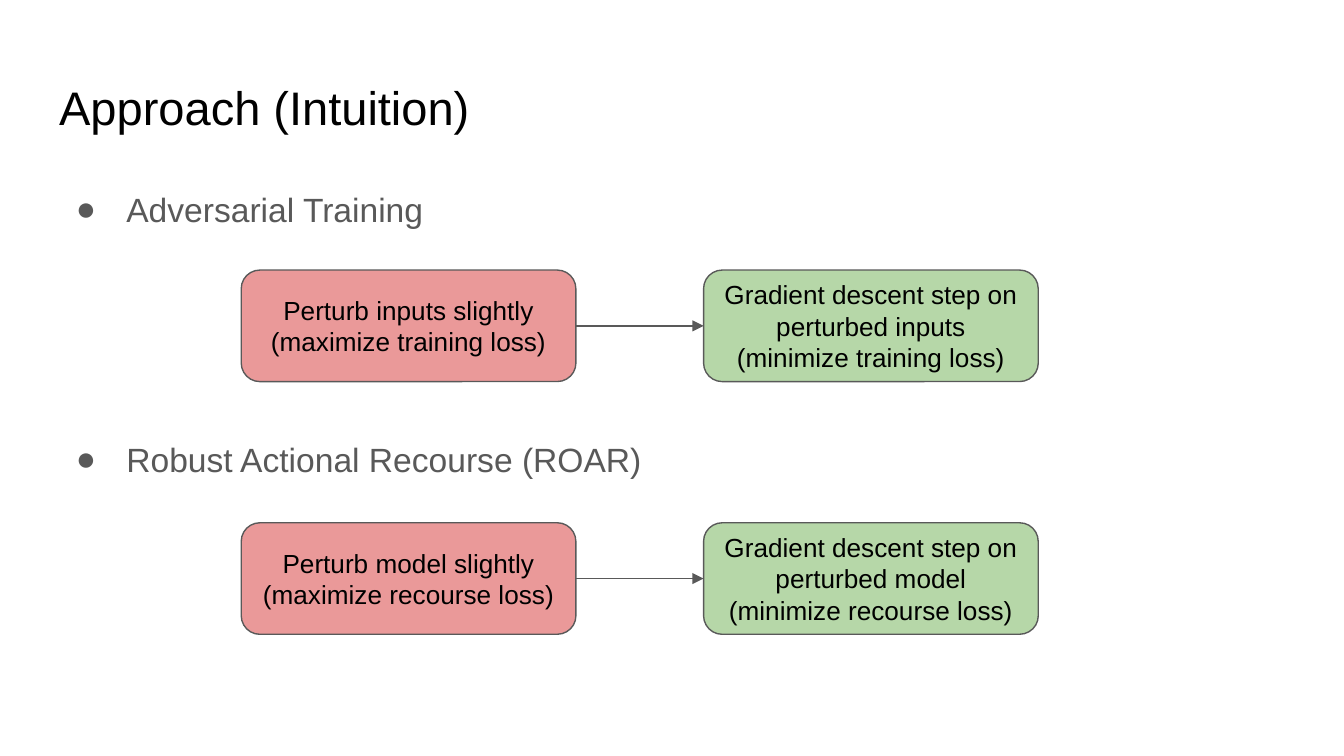
from dataclasses import dataclass

from pptx import Presentation
from pptx.dml.color import RGBColor
from pptx.enum.shapes import MSO_CONNECTOR, MSO_SHAPE
from pptx.enum.text import MSO_ANCHOR, MSO_AUTO_SIZE, PP_ALIGN
from pptx.oxml.ns import qn
from pptx.util import Emu, Pt
from lxml.etree import SubElement

PX = 4572


@dataclass(frozen=True)
class Theme:
    """Colours, font and type sizes of the deck."""
    font: str = "Arial"
    ink: str = "000000"
    grey: str = "595959"
    red: str = "EA9999"
    green: str = "B6D7A8"
    title_size: float = 25.2
    body_size: float = 18
    step_size: float = 14
    line_width: float = 0.75


THEME = Theme()


def px(length):
    """Turn px into EMU."""
    return Emu(length * PX)


def colour(code):
    """Turn a hex code into a colour."""
    return RGBColor.from_string(code)


def place(shape, box):
    """Move a shape to a box of left, top, width, height."""
    shape.left, shape.top, shape.width, shape.height = map(px, box)


def write(shape, text, size, ink, align, anchor):
    """Write one formatted paragraph into a shape and return it."""
    frame = shape.text_frame
    frame.word_wrap = True
    frame.auto_size = MSO_AUTO_SIZE.NONE
    frame.vertical_anchor = anchor
    frame.margin_left = frame.margin_right = px(20)
    frame.margin_top = frame.margin_bottom = px(20)
    para = frame.paragraphs[0]
    para.alignment = align
    para.space_before = Pt(0)
    span = para.add_run()
    span.text = text
    span.font.name = THEME.font
    span.font.size = Pt(size)
    span.font.color.rgb = colour(ink)
    return para


def add_title(page, box, text):
    """Fill the title placeholder."""
    title = page.shapes.title
    place(title, box)
    write(title, text, THEME.title_size, THEME.ink, PP_ALIGN.LEFT, MSO_ANCHOR.TOP)


def add_bullet(body, box, text):
    """Fill a body placeholder with one bulleted line."""
    place(body, box)
    para = write(body, text, THEME.body_size, THEME.grey, PP_ALIGN.LEFT, MSO_ANCHOR.TOP)
    para.line_spacing = 1.15
    properties = para._p.get_or_add_pPr()
    properties.set("marL", str(px(100)))
    properties.set("indent", str(px(-75)))
    bullet_colour = SubElement(properties, qn("a:buClr"))
    SubElement(bullet_colour, qn("a:srgbClr"), val=THEME.grey)
    SubElement(properties, qn("a:buFont"), typeface=THEME.font)
    SubElement(properties, qn("a:buChar"), char="●")


def add_step(page, box, text, fill):
    """Add one rounded step of a flow."""
    step = page.shapes.add_shape(MSO_SHAPE.ROUNDED_RECTANGLE, *map(px, box))
    step.shadow.inherit = False
    step.fill.solid()
    step.fill.fore_color.rgb = colour(fill)
    step.line.color.rgb = colour(THEME.grey)
    step.line.width = Pt(THEME.line_width)
    write(step, text, THEME.step_size, THEME.ink, PP_ALIGN.CENTER, MSO_ANCHOR.MIDDLE)
    return step


def add_arrow(page, source, target):
    """Join the right side of one step to the left side of the next."""
    arrow = page.shapes.add_connector(MSO_CONNECTOR.STRAIGHT, 0, 0, 0, 0)
    arrow.begin_connect(source, 3)
    arrow.end_connect(target, 1)
    arrow.line.color.rgb = colour(THEME.grey)
    arrow.line.width = Pt(THEME.line_width)
    SubElement(arrow.line._get_or_add_ln(), qn("a:tailEnd"), type="triangle")
    SubElement(arrow._element.spPr, qn("a:effectLst"))


def add_flow(page, box, perturb, descend):
    """Add a red step and a green step at the two ends of a box."""
    left, top, width, height = box
    step_width = 498
    first = add_step(page, (left, top, step_width, height), perturb, THEME.red)
    last_left = left + width - step_width
    second = add_step(page, (last_left, top, step_width, height), descend, THEME.green)
    add_arrow(page, first, second)


def add_method(page, body, box, heading, perturb, descend):
    """Add a bulleted heading with its flow below."""
    left, top, width, height = box
    flow_height = 166
    add_bullet(body, (left, top, width, 114), heading)
    flow_box = (left + 291, top + height - flow_height, 1186, flow_height)
    add_flow(page, flow_box, perturb, descend)


def main():
    """Build and save the deck."""
    deck = Presentation()
    deck.slide_width, deck.slide_height = px(2000), px(1125)
    page = deck.slides.add_slide(deck.slide_layouts.get_by_name("Two Content"))
    add_title(page, (68, 97, 1864, 126), "Approach (Intuition)")
    add_method(
        page, page.placeholders[1], (68, 252, 1864, 316),
        "Adversarial Training",
        "Perturb inputs slightly (maximize training loss)",
        "Gradient descent step on perturbed inputs (minimize training loss)",
    )
    add_method(
        page, page.placeholders[2], (68, 624, 1864, 320),
        "Robust Actional Recourse (ROAR)",
        "Perturb model slightly (maximize recourse loss)",
        "Gradient descent step on perturbed model (minimize recourse loss)",
    )
    deck.save("out.pptx")


if __name__ == "__main__":
    main()
